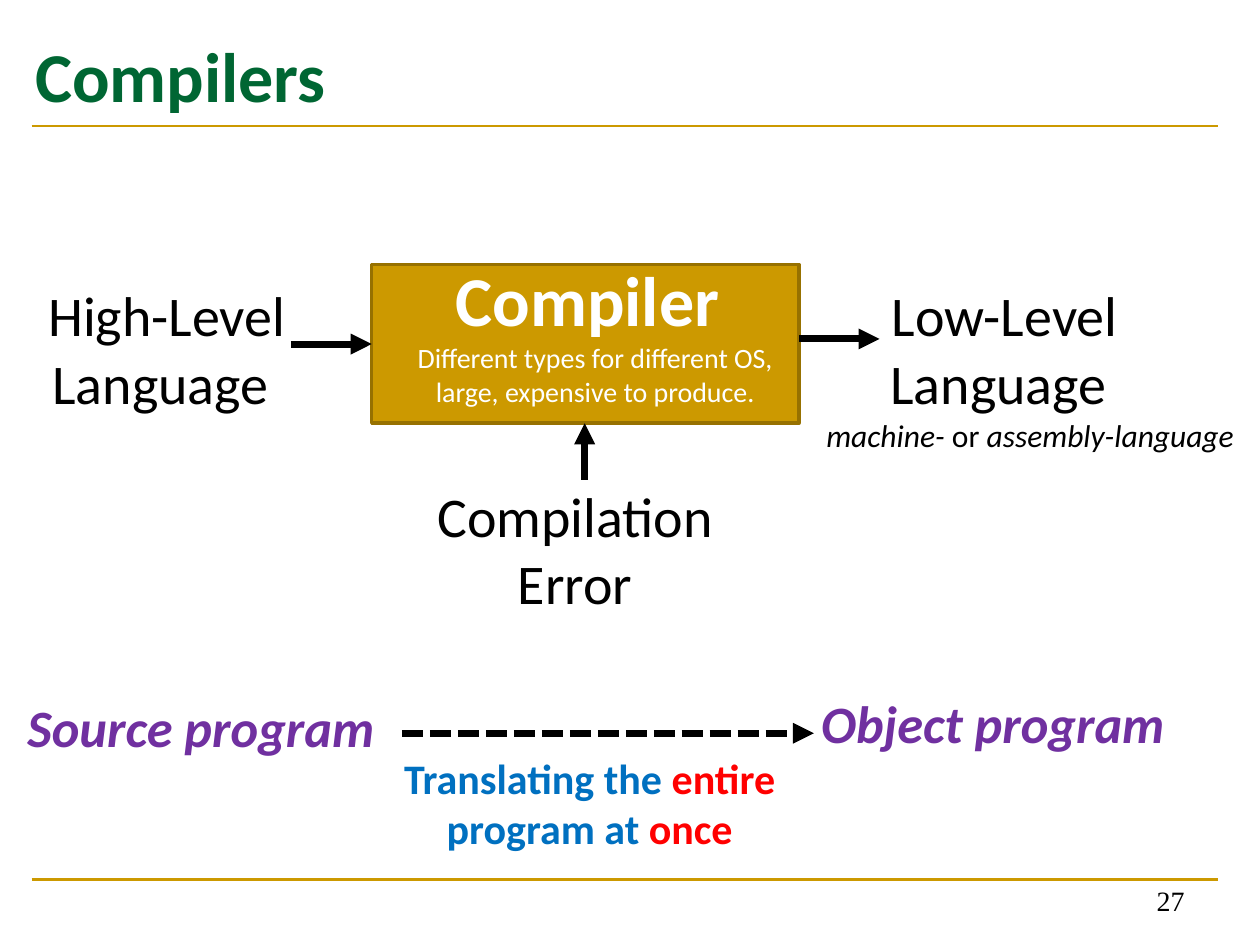
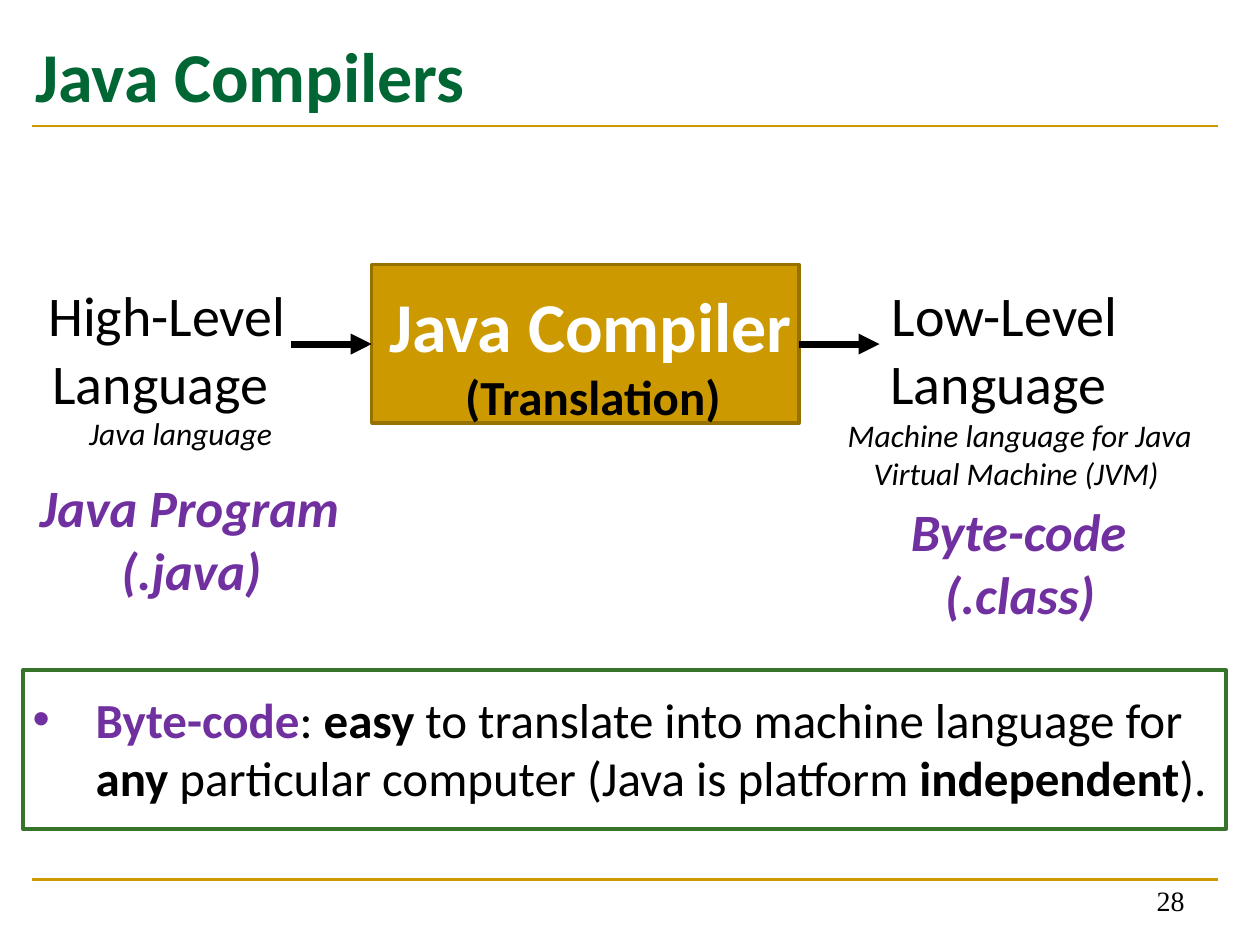
from dataclasses import dataclass

from lxml import etree
from pptx import Presentation
from pptx import util as u
from pptx.dml.color import RGBColor
from pptx.enum import dml, shapes, text
from pptx.oxml import ns


@dataclass(frozen=True)
class Theme:
    font: str = "Calibri"
    number_font: str = "Times New Roman"
    gold: str = "CC9900"
    dark_gold: str = "977100"
    frame: str = "35742A"
    black: str = "000000"
    title: tuple = (40, "006633", True, False)
    engine: tuple = (40, "FFFFFF", True, False)
    engine_note: tuple = (16, "FFFFFF", False, False)
    engine_role: tuple = (28, "000000", True, False)
    level: tuple = (32, "000000", False, False)
    caption: tuple = (18, "000000", False, True)
    caption_plain: tuple = (18, "000000", False, False)
    program: tuple = (30, "7030A0", True, True)
    action: tuple = (24, "0070C0", True, False)
    action_key: tuple = (24, "FF0000", True, False)
    term: tuple = (28, "7030A0", True, False)
    body: tuple = (28, "000000", False, False)
    body_key: tuple = (28, "000000", True, False)
    number: tuple = (16, "000000", False, False)


theme = Theme()
LEFT, CENTER, RIGHT = text.PP_ALIGN.LEFT, text.PP_ALIGN.CENTER, text.PP_ALIGN.RIGHT


def write(box, at, paras, wrap=True, anchor=text.MSO_ANCHOR.TOP, font=theme.font):
    box.left, box.top, box.width, box.height = [u.Pt(v) for v in at]
    frame = box.text_frame
    frame.word_wrap = wrap
    frame.auto_size = text.MSO_AUTO_SIZE.NONE
    frame.vertical_anchor = anchor
    for i, (align, spans) in enumerate(paras):
        para = frame.paragraphs[0] if i == 0 else frame.add_paragraph()
        para.alignment = align
        para.space_before = u.Pt(0)
        for words, (size, color, bold, italic) in spans:
            span = para.add_run()
            span.text = words
            span.font.name = font
            span.font.size = u.Pt(size)
            span.font.color.rgb = RGBColor.from_string(color)
            span.font.bold, span.font.italic = bold, italic


def draw_line(page, ends, color=theme.black, width=4, dashed=False, arrow=True):
    line = page.shapes.add_connector(shapes.MSO_CONNECTOR.STRAIGHT, *[u.Pt(v) for v in ends])
    line.line.color.rgb = RGBColor.from_string(color)
    line.line.width = u.Pt(width)
    if dashed:
        line.line.dash_style = dml.MSO_LINE.SQUARE_DOT
    if arrow:
        etree.SubElement(line.get_or_add_ln(), ns.qn("a:tailEnd"), type="triangle")
    etree.SubElement(line._element.spPr, ns.qn("a:effectLst"))


deck = Presentation()
deck.slide_width, deck.slide_height = u.Pt(720), u.Pt(540)

TITLE_ONLY, TITLE_AND_BODY = deck.slide_layouts[5], deck.slide_layouts[1]
pages = []
for number, title, layout, output_y in [
    (27, "Compilers", TITLE_ONLY, 193.7),
    (28, "Java Compilers", TITLE_AND_BODY, 196.6),
]:
    page = deck.slides.add_slide(layout)
    pages.append(page)
    for rule_y in (502.5, 72):
        draw_line(page, (18, rule_y, 696.2, rule_y), theme.gold, 1.5, arrow=False)
    write(page.shapes.title, (13, 15.1, 687.6, 84.2), [(LEFT, [(title, theme.title)])])
    write(page.shapes.add_textbox(0, 0, 0, 0), (516.2, 491.8, 167.8, 36),
          [(RIGHT, [(str(number), theme.number)])],
          anchor=text.MSO_ANCHOR.BOTTOM, font=theme.number_font)

    engine = page.shapes.add_shape(shapes.MSO_SHAPE.RECTANGLE,
                                   u.Pt(212.4), u.Pt(151.2), u.Pt(244.1), u.Pt(90.7))
    engine.shadow.inherit = False
    engine.fill.solid()
    engine.fill.fore_color.rgb = RGBColor.from_string(theme.gold)
    engine.line.color.rgb = RGBColor.from_string(theme.dark_gold)
    engine.line.width = u.Pt(2)

    draw_line(page, (166.3, 196.6, 212.4, 196.6))
    draw_line(page, (456.5, output_y, 502.6, output_y))
    for left, level in [(18.7, "High-Level Language "), (497.5, "Low-Level Language ")]:
        write(page.shapes.add_textbox(0, 0, 0, 0), (left, 157, 153.4, 85),
              [(CENTER, [(level, theme.level)])])

compilers, java = pages

draw_line(compilers, (334.1, 274.3, 334.1, 241.9))
draw_line(compilers, (229.7, 419, 465.1, 419), dashed=True)
for at, wrap, align, spans in [
    ((253.4, 143.3, 167, 55.4), False, LEFT, [("Compiler", theme.engine)]),
    ((215.3, 191.2, 249.8, 45.7), True, CENTER,
     [("Different types for different OS, large, expensive to produce.", theme.engine_note)]),
    ((223.2, 271.4, 211, 85), True, CENTER, [("Compilation Error", theme.level)]),
    ((465.1, 234, 254.2, 28.8), False, LEFT,
     [("machine- ", theme.caption), ("or", theme.caption_plain),
      (" assembly-language", theme.caption)]),
    ((8.6, 393.7, 215.3, 43.8), False, LEFT, [("Source program", theme.program)]),
    ((462.2, 391.6, 213.1, 43.8), False, LEFT, [("Object program", theme.program)]),
    ((212.4, 426.2, 249.1, 65.5), True, CENTER,
     [("Translating the ", theme.action), ("entire", theme.action_key),
      (" program at ", theme.action), ("once", theme.action_key)]),
]:
    write(compilers.shapes.add_textbox(0, 0, 0, 0), at, [(align, spans)], wrap)

for at, wrap, paras in [
    ((215.3, 157.7, 247, 90), False,
     [(LEFT, [("Java Compiler", theme.engine)]),
      (CENTER, [("(Translation)", theme.engine_role)])]),
    ((43.9, 233.3, 120.2, 28.8), False, [(LEFT, [("Java language", theme.caption)])]),
    ((465.1, 234, 235.4, 51.1), True,
     [(CENTER, [("Machine language for Java Virtual Machine (JVM) ", theme.caption)])]),
    ((15.8, 267.7, 187.2, 80), False,
     [(LEFT, [("Java Program", theme.program)]), (CENTER, [("(.java)", theme.program)])]),
    ((513.4, 281.4, 139, 80), False,
     [(LEFT, [("Byte-code", theme.program)]), (CENTER, [("(.class)", theme.program)])]),
]:
    write(java.shapes.add_textbox(0, 0, 0, 0), at, paras, wrap)

summary = java.placeholders[1]
summary_format = summary.text_frame.paragraphs[0]._p.get_or_add_pPr()
summary_format.set("marL", str(u.Pt(36)))
summary_format.set("indent", str(u.Pt(-36)))
etree.SubElement(summary_format, ns.qn("a:buFont"), typeface="Arial")
etree.SubElement(summary_format, ns.qn("a:buChar"), char="•")
write(summary, (11.5, 390.2, 689, 74.9), [(LEFT, [
    ("Byte-code", theme.term), (": ", theme.body), ("easy", theme.body_key),
    (" to translate into machine language for ", theme.body), ("any", theme.body_key),
    (" particular computer (Java is platform ", theme.body),
    ("independent", theme.body_key), (").", theme.body),
])])

frame = java.shapes.add_shape(shapes.MSO_SHAPE.RECTANGLE,
                              u.Pt(13), u.Pt(383), u.Pt(687.6), u.Pt(90.7))
frame.shadow.inherit = False
frame.fill.background()
frame.line.color.rgb = RGBColor.from_string(theme.frame)
frame.line.width = u.Pt(2)

deck.save("out.pptx")
